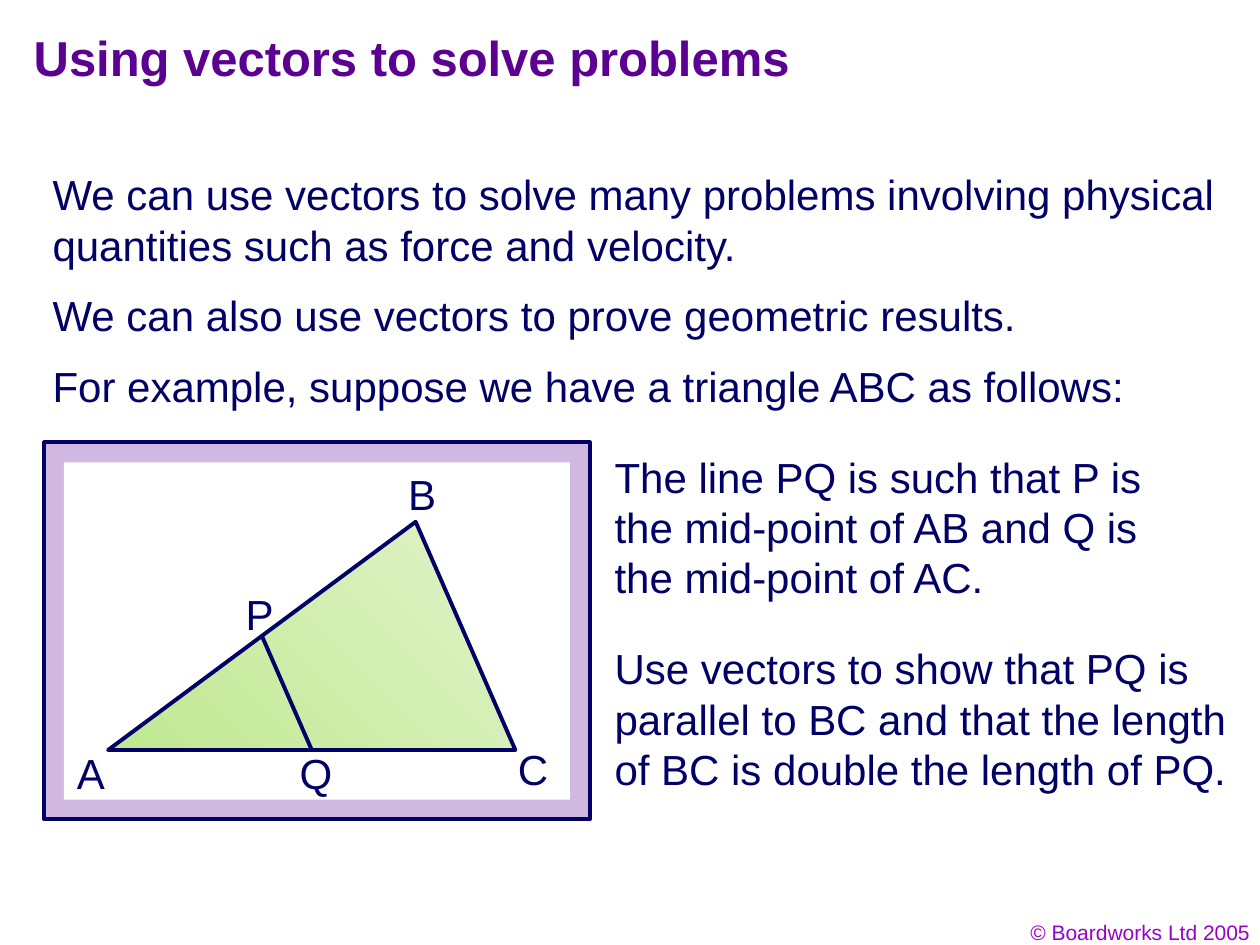
from dataclasses import dataclass

from lxml import etree
from pptx import Presentation
from pptx.dml.color import RGBColor
from pptx.enum.shapes import MSO_CONNECTOR, MSO_SHAPE
from pptx.enum.text import PP_ALIGN
from pptx.oxml.ns import qn
from pptx.util import Cm, Pt

RECT = MSO_SHAPE.RECTANGLE
STRAIGHT = MSO_CONNECTOR.STRAIGHT
LEFT, RIGHT = PP_ALIGN.LEFT, PP_ALIGN.RIGHT


@dataclass(frozen=True)
class Theme:
    font: str = "Arial"
    title: str = "5B0091"
    body: str = "010066"
    footer: str = "9900CC"
    outline: str = "000066"
    frame: str = "D0B8E0"
    panel: str = "FFFFFF"
    light_green: str = "E1F3CB"
    green: str = "C0E890"
    title_size: int = 28
    body_size: int = 24
    footer_size: int = 12
    line_width: float = 2.25


THEME = Theme()


@dataclass(frozen=True)
class Label:
    text: str
    left: float
    top: float
    width: float
    height: float = 1.27
    size: int = THEME.body_size
    color: str = THEME.body
    bold: bool = False
    wrap: bool = True
    align: PP_ALIGN = LEFT


@dataclass(frozen=True)
class Point:
    x: float
    y: float


def midpoint(a: Point, b: Point) -> Point:
    return Point((a.x + b.x) / 2, (a.y + b.y) / 2)


def rgb(color: str) -> RGBColor:
    return RGBColor.from_string(color)


def set_outline(s) -> None:
    s.line.color.rgb = rgb(THEME.outline)
    s.line.width = Pt(THEME.line_width)


def add_label(shapes, label: Label) -> None:
    s = shapes.add_textbox(Cm(label.left), Cm(label.top), Cm(label.width), Cm(label.height))
    tf = s.text_frame
    tf.word_wrap = label.wrap
    p = tf.paragraphs[0]
    p.alignment = label.align
    r = p.add_run()
    r.text = label.text
    r.font.name = THEME.font
    r.font.size = Pt(label.size)
    r.font.bold = label.bold
    r.font.color.rgb = rgb(label.color)


def add_panel(shapes, left: float, top: float, width: float, height: float,
              color: str, outlined: bool) -> None:
    s = shapes.add_shape(RECT, Cm(left), Cm(top), Cm(width), Cm(height))
    s.shadow.inherit = False
    s.fill.solid()
    s.fill.fore_color.rgb = rgb(color)
    if outlined:
        set_outline(s)
    else:
        s.line.fill.background()


def add_triangle(shapes, a: Point, b: Point, c: Point) -> None:
    builder = shapes.build_freeform(Cm(a.x), Cm(a.y))
    builder.add_line_segments([(Cm(v.x), Cm(v.y)) for v in (c, b)], close=True)
    s = builder.convert_to_shape()
    s.shadow.inherit = False
    s.fill.gradient()
    s.fill.gradient_angle = 225
    for stop, color in zip(s.fill.gradient_stops, (THEME.light_green, THEME.green)):
        stop.color.rgb = rgb(color)
    set_outline(s)


def add_segment(shapes, start: Point, end: Point) -> None:
    s = shapes.add_connector(STRAIGHT, Cm(start.x), Cm(start.y), Cm(end.x), Cm(end.y))
    set_outline(s)
    etree.SubElement(s._element.spPr, qn("a:effectLst"))


TEXTS = (
    Label("© Boardworks Ltd 2005", 19.53, 18.42, 5.92, 0.76,
          THEME.footer_size, THEME.footer, align=RIGHT),
    Label("Using vectors to solve problems", 0.43, 0.43, 21.59, 1.7,
          THEME.title_size, THEME.title, bold=True),
    Label("We can use vectors to solve many problems involving physical "
          "quantities such as force and velocity.", 0.81, 3.28, 24.18, 2.29),
    Label("We can also use vectors to prove geometric results.",
          0.81, 5.71, 19.94, wrap=False),
    Label("For example, suppose we have a triangle ABC as follows:",
          0.81, 7.14, 22.15, wrap=False),
    Label("The line PQ is such that P is the mid-point of AB and Q is the "
          "mid-point of AC.", 12.14, 8.97, 12.45, 3.3),
    Label("Use vectors to show that PQ is parallel to BC and that the length "
          "of BC is double the length of PQ.", 12.14, 12.83, 12.95, 3.3),
)

VERTEX_LABELS = (
    Label("A", 1.3, 14.94, 1.07, wrap=False),
    Label("B", 7.98, 9.32, 1.07, wrap=False),
    Label("C", 10.19, 14.86, 1.12, wrap=False),
    Label("P", 4.7, 11.73, 1.07, wrap=False),
    Label("Q", 5.79, 14.94, 1.17, wrap=False),
)


def main() -> None:
    prs = Presentation()
    prs.slide_width, prs.slide_height = Cm(25.4), Cm(19.05)
    shapes = prs.slides.add_slide(prs.slide_layouts[6]).shapes

    for label in TEXTS:
        add_label(shapes, label)

    left, top, width, height, border = 0.89, 8.92, 11.0, 7.6, 0.4
    add_panel(shapes, left, top, width, height, THEME.frame, True)
    add_panel(shapes, left + border, top + border, width - 2 * border,
              height - 2 * border, THEME.panel, False)

    a, b, c = Point(2.18, 15.12), Point(8.38, 10.52), Point(10.39, 15.12)
    add_triangle(shapes, a, b, c)
    add_segment(shapes, midpoint(a, b), midpoint(a, c))
    for label in VERTEX_LABELS:
        add_label(shapes, label)

    prs.save("out.pptx")


if __name__ == "__main__":
    main()
